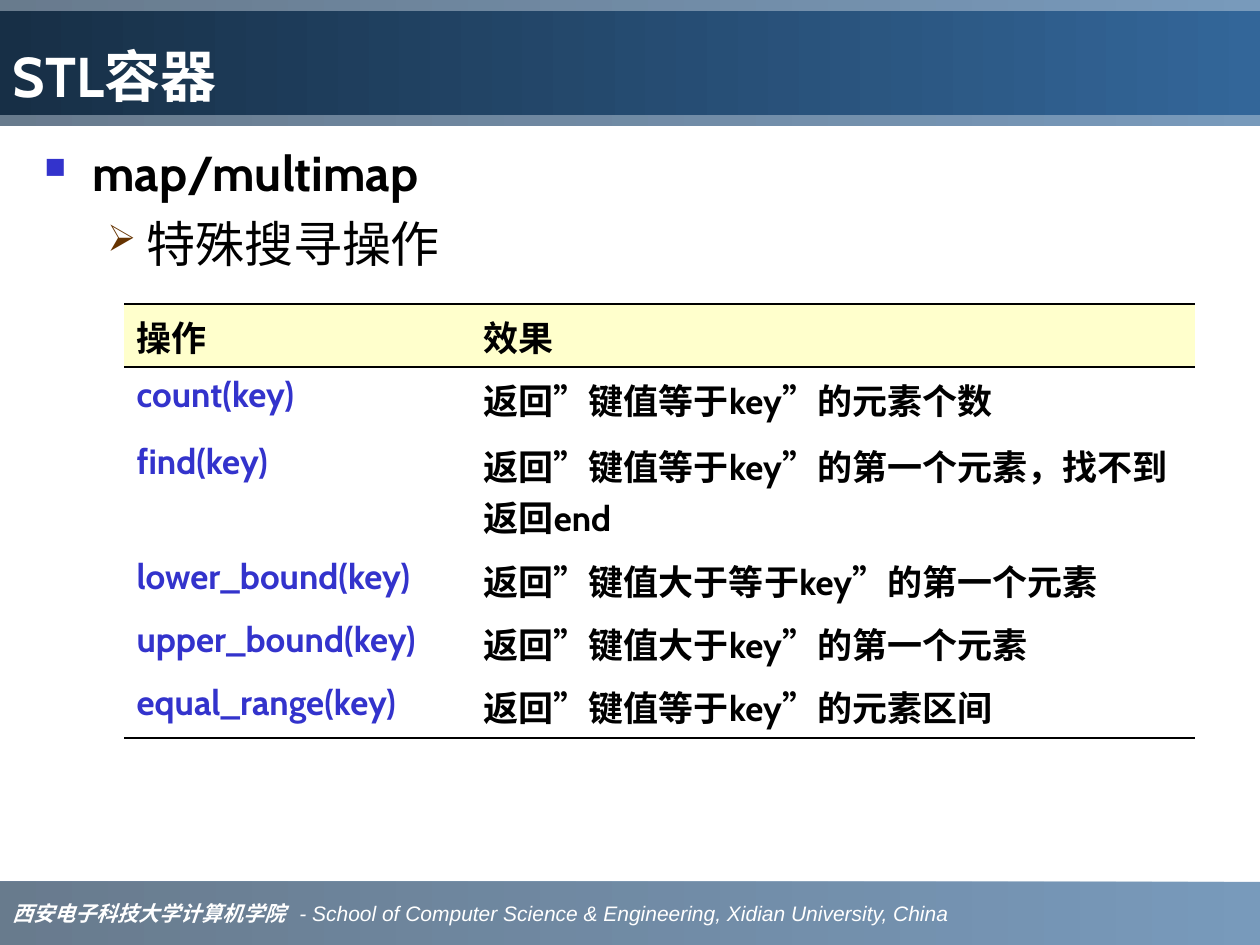
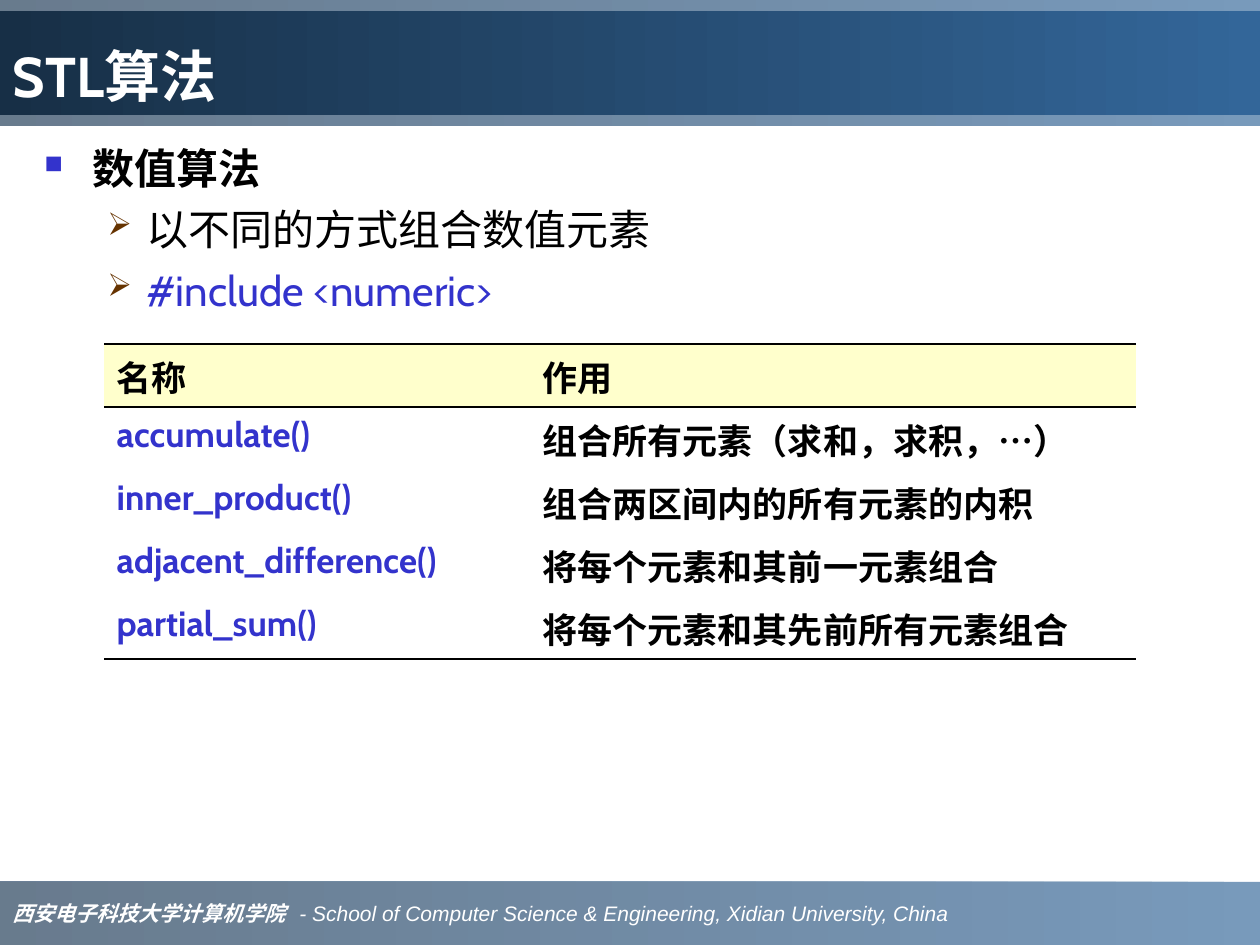
from lxml.etree import SubElement
from pptx import Presentation
from pptx.dml.color import RGBColor
from pptx.enum.shapes import MSO_SHAPE
from pptx.enum.text import MSO_ANCHOR, MSO_AUTO_SIZE, PP_ALIGN
from pptx.oxml import parse_xml
from pptx.oxml.ns import nsdecls, qn
from pptx.util import Emu, Pt

PX = 914400 / 126
SLIDE_W, SLIDE_H = 1260, 945

BLUE = RGBColor(0x33, 0x66, 0x99)
BAND_DARK = RGBColor(0x1B, 0x37, 0x53)
TITLE_DARK = RGBColor(0x17, 0x2F, 0x46)
CODE_BLUE = RGBColor(0x33, 0x33, 0xCC)
BROWN = RGBColor(0x66, 0x33, 0x00)
CREAM = RGBColor(0xFF, 0xFF, 0xCC)
BLACK = RGBColor(0x00, 0x00, 0x00)
WHITE = RGBColor(0xFF, 0xFF, 0xFF)

MAIN_FONT = "Cabin"
NO_GRID_STYLE = "{2D5ABB26-0587-4C30-8999-92F81FD0307C}"
SCHOOL = "西安电子科技大学计算机学院"
SCHOOL_EN = "- School of Computer Science & Engineering, Xidian University, China"
BULLETS = (
    ("■", CODE_BLUE, 60, 48, -48),
    ("➢", BROWN, 75, 102, -39),
)
THICK, THIN = 1.08, 0.75


def px(length):
    return Emu(round(length * PX))


def box(left, top, width, height):
    return px(left), px(top), px(width), px(height)


def style(font, size, color, bold=False, italic=False, name=MAIN_FONT):
    font.name, font.size = name, Pt(size)
    font.bold, font.italic = bold, italic
    font.color.rgb = color


def fill_gradient(shape, dark, opacity=100):
    shape.fill.gradient()
    shape.fill.gradient_angle = 180
    for stop, color in zip(shape.fill.gradient_stops, (BLUE, dark)):
        stop.color.rgb = color
    if opacity < 100:
        for color in shape._element.spPr.iter(qn("a:srgbClr")):
            SubElement(color, qn("a:alpha"), val=str(opacity * 1000))


def add_band(slide, top, height):
    band = slide.shapes.add_shape(
        MSO_SHAPE.RECTANGLE, *box(0, top, SLIDE_W, height))
    band.shadow.inherit = False
    band.line.fill.background()
    fill_gradient(band, BAND_DARK, 66)
    return band


def add_footer(slide):
    frame = add_band(slide, 882, 63).text_frame
    frame.word_wrap = True
    frame.vertical_anchor = MSO_ANCHOR.MIDDLE
    line = frame.paragraphs[0]
    line.alignment = PP_ALIGN.LEFT
    tabs = SubElement(line._p.get_or_add_pPr(), qn("a:tabLst"))
    SubElement(tabs, qn("a:tab"), pos=str(px(287)), algn="l")
    for text, bold, name in ((SCHOOL + "\t", True, "Times New Roman"),
                             (SCHOOL_EN, False, "Arial")):
        run = line.add_run()
        run.text = text
        style(run.font, 12, WHITE, bold, True, name)


def set_title(slide, text):
    title = slide.shapes.title
    slide.shapes._spTree.append(title._element)
    title.left, title.top, title.width, title.height = box(0, 11, SLIDE_W, 104)
    fill_gradient(title, TITLE_DARK)
    frame = title.text_frame
    frame.text = text
    frame.auto_size = MSO_AUTO_SIZE.NONE
    frame.vertical_anchor = MSO_ANCHOR.BOTTOM
    heading = frame.paragraphs[0]
    heading.alignment = PP_ALIGN.LEFT
    style(heading.runs[0].font, 32, WHITE, True)


def set_bullet(paragraph, level):
    char, color, percent, margin, indent = BULLETS[level]
    props = paragraph._p.get_or_add_pPr()
    props.set("marL", str(px(margin)))
    props.set("indent", str(px(indent)))
    bullet_color = SubElement(props, qn("a:buClr"))
    SubElement(bullet_color, qn("a:srgbClr"), val=str(color))
    SubElement(props, qn("a:buSzPct"), val=str(percent * 1000))
    SubElement(props, qn("a:buChar"), char=char)


def add_outline(slide, items, size, gap):
    frame = slide.shapes.add_textbox(*box(32, 136, 1187, 735)).text_frame
    frame.word_wrap = True
    for index, (level, text, color) in enumerate(items):
        item = frame.add_paragraph() if index else frame.paragraphs[0]
        item.text = text
        item.level = level
        set_bullet(item, level)
        if index:
            item.space_before = Pt(gap)
        style(item.runs[0].font, size, color, bold=level == 0)


def set_border(cell, edge, width):
    cell._tc.get_or_add_tcPr().insert(0, parse_xml(
        f'<a:{edge} {nsdecls("a")} w="{Pt(width)}"><a:solidFill>'
        f'<a:srgbClr val="{BLACK}"/></a:solidFill></a:{edge}>'))


def fill_cell(cell, text, color, is_header, is_last):
    cell.text = text
    style(cell.text_frame.paragraphs[0].runs[0].font, 20, color, True)
    if is_header:
        cell.fill.solid()
        cell.fill.fore_color.rgb = CREAM
        set_border(cell, "lnB", THIN)
        set_border(cell, "lnT", THICK)
    else:
        cell.fill.background()
    if is_last:
        set_border(cell, "lnB", THICK)


def add_reference_table(slide, left, top, widths, heights, rows):
    table = slide.shapes.add_table(
        len(rows), len(widths),
        *box(left, top, sum(widths), sum(heights))).table
    table.first_row = table.horz_banding = False
    table._tbl.tblPr.find(qn("a:tableStyleId")).text = NO_GRID_STYLE
    for column, width in zip(table.columns, widths):
        column.width = px(width)
    for r, (height, texts) in enumerate(zip(heights, rows)):
        table.rows[r].height = px(height)
        for c, text in enumerate(texts):
            color = CODE_BLUE if r and c == 0 else BLACK
            fill_cell(table.cell(r, c), text, color, r == 0, r == len(rows) - 1)


def add_topic_slide(deck, title):
    slide = deck.slides.add_slide(deck.slide_layouts[5])
    add_footer(slide)
    add_band(slide, 0, 126)
    set_title(slide, title)
    return slide


def main():
    deck = Presentation()
    deck.slide_width, deck.slide_height = px(SLIDE_W), px(SLIDE_H)

    containers = add_topic_slide(deck, "STL容器")
    add_outline(containers, [
        (0, "map/multimap", BLACK),
        (1, "特殊搜寻操作", BLACK),
    ], size=28, gap=7)
    add_reference_table(containers, 124, 304, (347, 724),
                        (63, 67, 115, 63, 63, 63), [
        ("操作", "效果"),
        ("count(key)", "返回”键值等于key”的元素个数"),
        ("find(key)", "返回”键值等于key”的第一个元素，找不到返回end"),
        ("lower_bound(key)", "返回”键值大于等于key”的第一个元素"),
        ("upper_bound(key)", "返回”键值大于key”的第一个元素"),
        ("equal_range(key)", "返回”键值等于key”的元素区间"),
    ])

    algorithms = add_topic_slide(deck, "STL算法")
    add_outline(algorithms, [
        (0, "数值算法", BLACK),
        (1, "以不同的方式组合数值元素", BLACK),
        (1, "#include <numeric>", CODE_BLUE),
    ], size=24, gap=6)
    add_reference_table(algorithms, 104, 344, (426, 606), (63,) * 5, [
        ("名称", "作用"),
        ("accumulate()", "组合所有元素（求和，求积，…）"),
        ("inner_product()", "组合两区间内的所有元素的内积"),
        ("adjacent_difference()", "将每个元素和其前一元素组合"),
        ("partial_sum()", "将每个元素和其先前所有元素组合"),
    ])

    deck.save("out.pptx")


if __name__ == "__main__":
    main()
